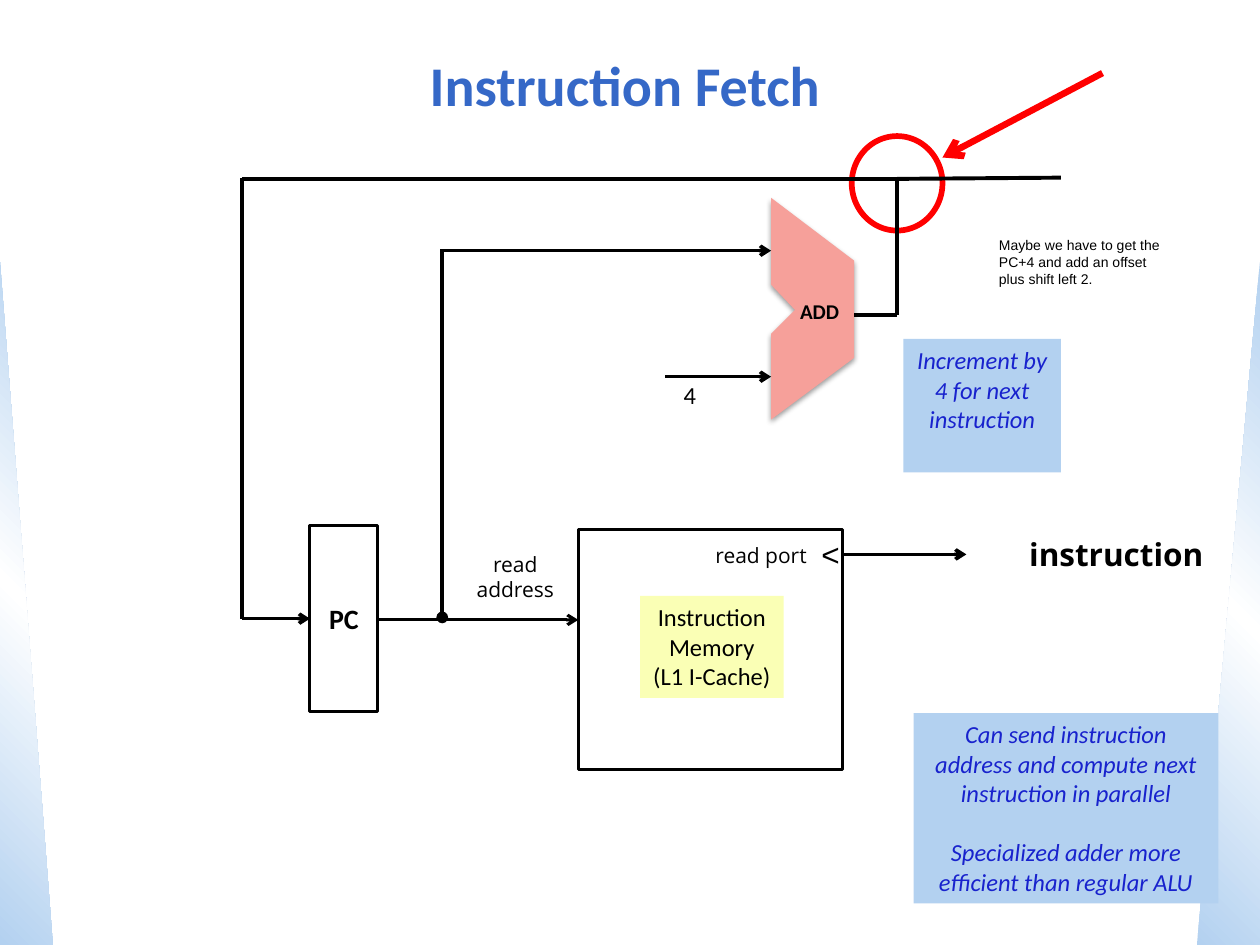
from lxml import etree
from pptx import Presentation
from pptx.dml.color import RGBColor
from pptx.enum.shapes import MSO_CONNECTOR as Connector, MSO_SHAPE as Shape
from pptx.enum.text import MSO_ANCHOR as Anchor, PP_ALIGN as Align
from pptx.oxml import parse_xml
from pptx.oxml.ns import nsdecls, qn
from pptx.util import Inches, Pt

BLACK = RGBColor(0x00, 0x00, 0x00)
RED = RGBColor(0xFF, 0x00, 0x00)
TITLE_BLUE = RGBColor(0x35, 0x68, 0xC7)
NOTE_BLUE = RGBColor(0x18, 0x22, 0xCD)
PALE_BLUE = RGBColor(0xB3, 0xD1, 0xF0)
WHITE = RGBColor(0xFF, 0xFF, 0xFF)
PALE_YELLOW = RGBColor(0xFA, 0xFF, 0xB5)
ADDER_PINK = RGBColor(0xF6, 0xA0, 0x9A)

deck = Presentation()
deck.slide_width, deck.slide_height = Inches(10), Inches(7.5)
page = deck.slides.add_slide(deck.slide_layouts[6])

# Grid of 10 columns by 7.5 rows
COLUMN = deck.slide_width / 10
ROW = deck.slide_height / 7.5


def place(left, top, width, height):
    return (round(left * COLUMN), round(top * ROW),
            round(width * COLUMN), round(height * ROW))


def write(box, lines, font, align=Align.CENTER, anchor=Anchor.TOP,
          wrap=True, gap=0):
    frame = box.text_frame
    frame.word_wrap = wrap
    frame.vertical_anchor = anchor
    for index, line in enumerate(lines):
        para = frame.paragraphs[0] if index == 0 else frame.add_paragraph()
        para.alignment = align
        if index:
            para.space_before = Pt(gap)
        span = para.add_run()
        span.text = line
        for name, value in font.items():
            if name == "color":
                span.font.color.rgb = value
            else:
                setattr(span.font, name, value)


# Gradient side triangles
for left, width, angle, flipped in [(0, 0.42, 315, False), (9.5, 0.5, 45, True)]:
    side = page.shapes.add_shape(Shape.RIGHT_TRIANGLE,
                                 *place(left, 2.08, width, 5.42))
    side.shadow.inherit = False
    side.line.fill.background()
    stops = "".join(
        f'<a:gs pos="{share * 1000}"><a:srgbClr val="{color}"/></a:gs>'
        for share, color in [(0, PALE_BLUE), (50, WHITE), (100, PALE_BLUE)])
    gradient = parse_xml(
        f'<a:gradFill {nsdecls("a")} rotWithShape="1"><a:gsLst>{stops}</a:gsLst>'
        f'<a:lin ang="{angle * 60000}" scaled="0"/></a:gradFill>')
    properties = side._element.spPr
    properties.find(qn("a:prstGeom")).addnext(gradient)
    if flipped:
        properties.find(qn("a:xfrm")).set("flipH", "1")

# Filled and outlined boxes
note = dict(name="Calibri", size=Pt(14), italic=True, color=NOTE_BLUE)
plain = dict(name="Calibri", size=Pt(14), color=BLACK)
strong = dict(name="Calibri", size=Pt(16), bold=True, color=BLACK)
boxes = [
    (Shape.RECTANGLE, (7.25, 5.66, 2.42, 1.51), PALE_BLUE, None,
     ["Can send instruction address and compute next instruction in parallel",
      "Specialized adder more efficient than regular ALU"], note, dict(gap=17)),
    (Shape.RECTANGLE, (7.17, 2.69, 1.25, 1.06), PALE_BLUE, None,
     ["Increment by 4 for next instruction"], note, {}),
    (Shape.RECTANGLE, (2.46, 4.17, 0.54, 1.48), None, (BLACK, 1.75),
     ["PC"], strong, dict(anchor=Anchor.MIDDLE, wrap=False)),
    (Shape.RECTANGLE, (4.59, 4.2, 2.1, 1.91), None, (BLACK, 1.75), [], {}, {}),
    (Shape.RECTANGLE, (5.08, 4.73, 1.14, 0.81), PALE_YELLOW, None,
     ["Instruction", "Memory", "(L1 I-Cache)"], plain, dict(wrap=False)),
    (Shape.OVAL, (6.76, 1.08, 0.72, 0.75), None, (RED, 3.25), [], {}, {}),
]
for kind, spot, fill, outline, lines, font, options in boxes:
    box = page.shapes.add_shape(kind, *place(*spot))
    box.shadow.inherit = False
    if fill:
        box.fill.solid()
        box.fill.fore_color.rgb = fill
    else:
        box.fill.background()
    if outline:
        box.line.color.rgb, box.line.width = outline[0], Pt(outline[1])
    else:
        box.line.fill.background()
    write(box, lines, font, **options)

# Adder
outline = [(6.12, 1.57), (6.12, 2.26), (6.31, 2.46), (6.12, 2.65),
           (6.12, 3.33), (6.78, 2.84), (6.78, 2.07)]
points = [(x * COLUMN, y * ROW) for x, y in outline]
builder = page.shapes.build_freeform(*points[0])
builder.add_line_segments(points[1:], close=True)
adder = builder.convert_to_shape()
adder.fill.solid()
adder.fill.fore_color.rgb = ADDER_PINK
adder.line.fill.background()
adder._element.spPr.append(parse_xml(
    f'<a:effectLst {nsdecls("a")}><a:outerShdw blurRad="{Pt(3.1)}" '
    f'dist="{Pt(1.6)}" dir="5400000" rotWithShape="0"><a:srgbClr val="{BLACK}">'
    '<a:alpha val="38000"/></a:srgbClr></a:outerShdw></a:effectLst>'))

# Wires: start, end, width, end mark, colour
wires = [
    ((3, 4.92), (4.59, 4.92), 1.75, "arrow", BLACK),
    ((3.51, 1.99), (6.12, 1.99), 2, "arrow", BLACK),
    ((3.51, 1.98), (3.51, 4.9), 2.25, "oval", BLACK),
    ((5.28, 2.99), (6.12, 2.99), 2, "arrow", BLACK),
    ((6.69, 4.4), (7.67, 4.4), 2, "arrow", BLACK),
    ((7.12, 1.42), (7.12, 2.5), 2.25, None, BLACK),
    ((6.78, 2.5), (7.12, 2.5), 2.25, None, BLACK),
    ((1.92, 1.42), (7.12, 1.42), 2, None, BLACK),
    ((1.92, 1.41), (1.92, 4.91), 2.25, None, BLACK),
    ((1.92, 4.91), (2.46, 4.91), 2, "arrow", BLACK),
    ((7.12, 1.42), (8.42, 1.41), 2.25, None, BLACK),
    ((8.75, 0.58), (7.48, 1.25), 3.75, "arrow", RED),
]
for start, end, width, mark, color in wires:
    wire = page.shapes.add_connector(Connector.STRAIGHT, *place(*start, *end))
    wire.line.color.rgb = color
    wire.line.width = Pt(width)
    if mark:
        etree.SubElement(wire.line._get_or_add_ln(), qn("a:tailEnd"), type=mark)
    etree.SubElement(wire._element.spPr, qn("a:effectLst"))

# Title and labels
small = dict(name="Open Sans", size=Pt(12), color=BLACK)
labels = [
    ((0.25, 0.25, 9.42, 0.83), ["Instruction Fetch"],
     dict(name="Calibri", size=Pt(32), bold=True, color=TITLE_BLUE),
     dict(anchor=Anchor.MIDDLE)),
    ((3.67, 4.33, 0.84, 0.51), ["read", "address"], small, dict(wrap=False)),
    ((5.2, 2.97, 0.55, 0.34), ["4"], plain, {}),
    ((8.05, 4.2, 1.62, 0.4), ["instruction"],
     dict(small, size=Pt(18), bold=True), dict(wrap=False)),
    ((5.58, 4.26, 1, 0.3), ["read port"], small, dict(align=Align.LEFT)),
    ((6.42, 4.2, 0.35, 0.4), ["<"], dict(name="Arial", size=Pt(18), color=BLACK),
     dict(align=Align.LEFT, wrap=False)),
    ((7.83, 1.83, 1.5, 0.5),
     ["Maybe we have to get the PC+4 and add an offset plus shift left 2."],
     dict(name="Arial", size=Pt(8), color=BLACK), dict(align=Align.LEFT)),
]
for spot, lines, font, options in labels:
    write(page.shapes.add_textbox(*place(*spot)), lines, font, **options)

# Adder label with tight margins
label = page.shapes.add_textbox(*place(6.33, 2.32, 0.47, 0.25))
write(label, ["ADD"], dict(strong, size=Pt(12)), align=Align.LEFT, wrap=False)
for side, margin in dict(left=0.02, top=0.03, right=0.02, bottom=0.03).items():
    setattr(label.text_frame, f"margin_{side}", Inches(margin))
label.text_frame.paragraphs[0].line_spacing = Pt(16)

deck.save("out.pptx")
